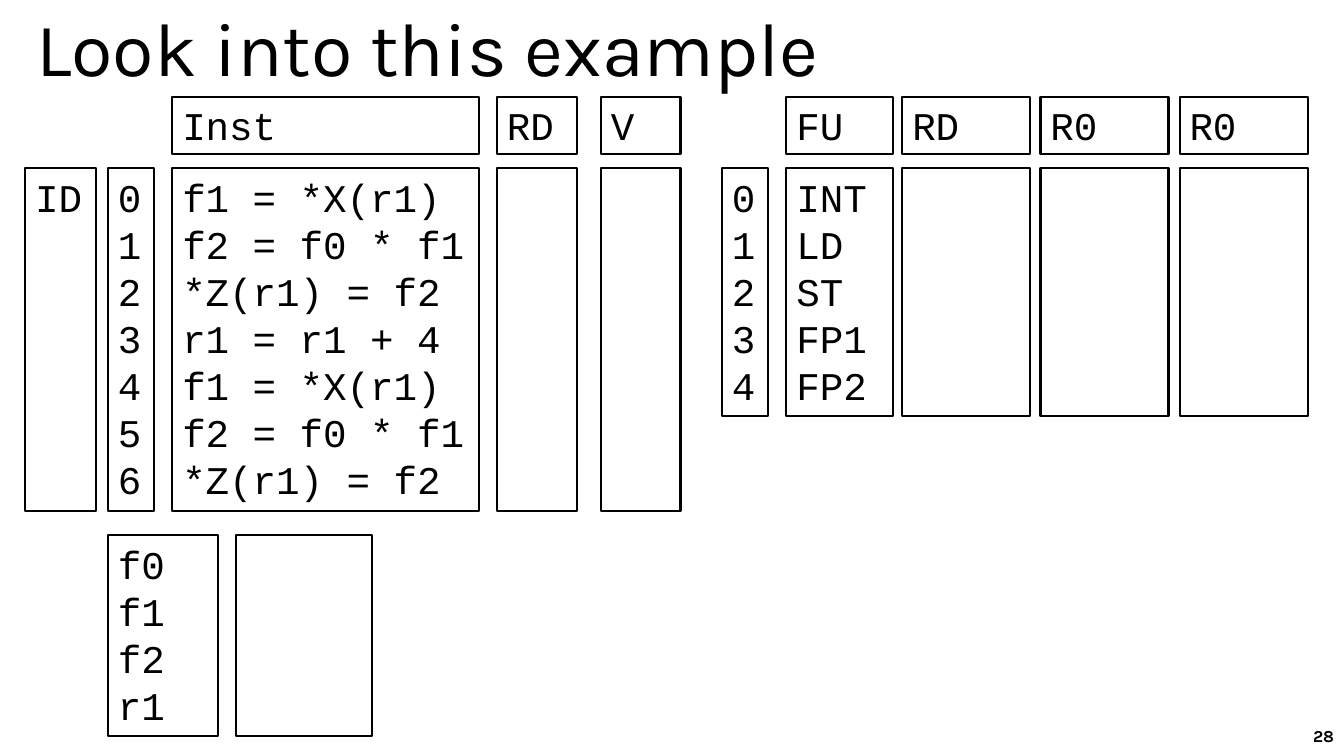
from dataclasses import dataclass

from pptx import Presentation
from pptx.dml.color import RGBColor
from pptx.enum.shapes import MSO_SHAPE
from pptx.enum.text import MSO_ANCHOR, MSO_AUTO_SIZE, PP_ALIGN
from pptx.util import Emu, Pt


@dataclass(frozen=True)
class Theme:
    ink: RGBColor = RGBColor(0, 0, 0)
    paper: RGBColor = RGBColor(255, 255, 255)
    heading_font: str = "Karla"
    code_font: str = "Courier New"
    title_size: int = 54
    code_size: int = 28
    number_size: int = 12
    outline: float = 1.5


THEME = Theme()
PX = 9144  # 100 px to the inch

HEADER_TOP, HEADER_HEIGHT = 96, 57
BODY_TOP = 167
QUEUE_HEIGHT, UNITS_HEIGHT = 340, 246
REGISTERS_TOP, REGISTERS_HEIGHT = 531, 199

INSTRUCTIONS = [
    "f1 = *X(r1)",
    "f2 = f0 * f1",
    "*Z(r1) = f2",
    "r1 = r1 + 4",
    "f1 = *X(r1)",
    "f2 = f0 * f1",
    "*Z(r1) = f2",
]
UNITS = ["INT", "LD", "ST", "FP1", "FP2"]
REGISTERS = ["f0", "f1", "f2", "r1"]

# left, width, header, lines
QUEUE_COLUMNS = [
    (25, 70, None, ["ID"]),
    (107, 46, None, [str(i) for i in range(len(INSTRUCTIONS))]),
    (171, 304, "Inst", INSTRUCTIONS),
    (493, 79, "RD", []),
    (596, 79, "V", []),
]
UNIT_COLUMNS = [
    (716, 46, None, [str(i) for i in range(len(UNITS))]),
    (780, 106, "FU", UNITS),
    (895, 127, "RD", []),
    (1032, 127, "R0", []),
    (1170, 127, "R0", []),
]


def px(*lengths):
    return [Emu(length * PX) for length in lengths]


def add_run(paragraph, text, font, size, bold=False):
    run = paragraph.add_run()
    run.text = text
    run.font.name = font
    run.font.size = Pt(size)
    run.font.bold = bold
    run.font.color.rgb = THEME.ink


def set_title(slide, text):
    title = slide.shapes.title
    title.left, title.top, title.width, title.height = px(26, -6, 1150, 116)
    frame = title.text_frame
    frame.word_wrap = True
    frame.auto_size = MSO_AUTO_SIZE.NONE
    frame.vertical_anchor = MSO_ANCHOR.MIDDLE
    heading = frame.paragraphs[0]
    heading.alignment = PP_ALIGN.LEFT
    heading.line_spacing = 0.9
    add_run(heading, text, THEME.heading_font, THEME.title_size)


def add_page_number(slide, number):
    frame = slide.shapes.add_textbox(*px(1033, 710, 300, 40)).text_frame
    frame.word_wrap = True
    frame.vertical_anchor = MSO_ANCHOR.MIDDLE
    paragraph = frame.paragraphs[0]
    paragraph.alignment = PP_ALIGN.RIGHT
    add_run(paragraph, number, THEME.heading_font, THEME.number_size, bold=True)


def add_cell(slide, left, top, width, height, lines):
    """Outlined box with one paragraph of code per line."""
    cell = slide.shapes.add_shape(MSO_SHAPE.RECTANGLE, *px(left, top, width, height))
    cell.shadow.inherit = False
    cell.fill.solid()
    cell.fill.fore_color.rgb = THEME.paper
    cell.line.color.rgb = THEME.ink
    cell.line.width = Pt(THEME.outline)
    if not lines:
        return
    frame = cell.text_frame
    frame.word_wrap = True
    frame.auto_size = MSO_AUTO_SIZE.SHAPE_TO_FIT_TEXT
    frame.vertical_anchor = MSO_ANCHOR.TOP
    for index, line in enumerate(lines):
        paragraph = frame.add_paragraph() if index else frame.paragraphs[0]
        paragraph.alignment = PP_ALIGN.LEFT
        add_run(paragraph, line, THEME.code_font, THEME.code_size)


def add_columns(slide, columns, height):
    for left, width, header, lines in columns:
        if header:
            add_cell(slide, left, HEADER_TOP, width, HEADER_HEIGHT, [header])
        add_cell(slide, left, BODY_TOP, width, height, lines)


def main():
    deck = Presentation()
    deck.slide_width, deck.slide_height = px(1333, 750)
    slide = deck.slides.add_slide(deck.slide_layouts.get_by_name("Title Only"))
    set_title(slide, "Look into this example")
    add_page_number(slide, "28")
    add_columns(slide, QUEUE_COLUMNS, QUEUE_HEIGHT)
    add_columns(slide, UNIT_COLUMNS, UNITS_HEIGHT)
    for left, width, lines in [(107, 109, REGISTERS), (234, 135, [])]:
        add_cell(slide, left, REGISTERS_TOP, width, REGISTERS_HEIGHT, lines)
    deck.save("out.pptx")


if __name__ == "__main__":
    main()
